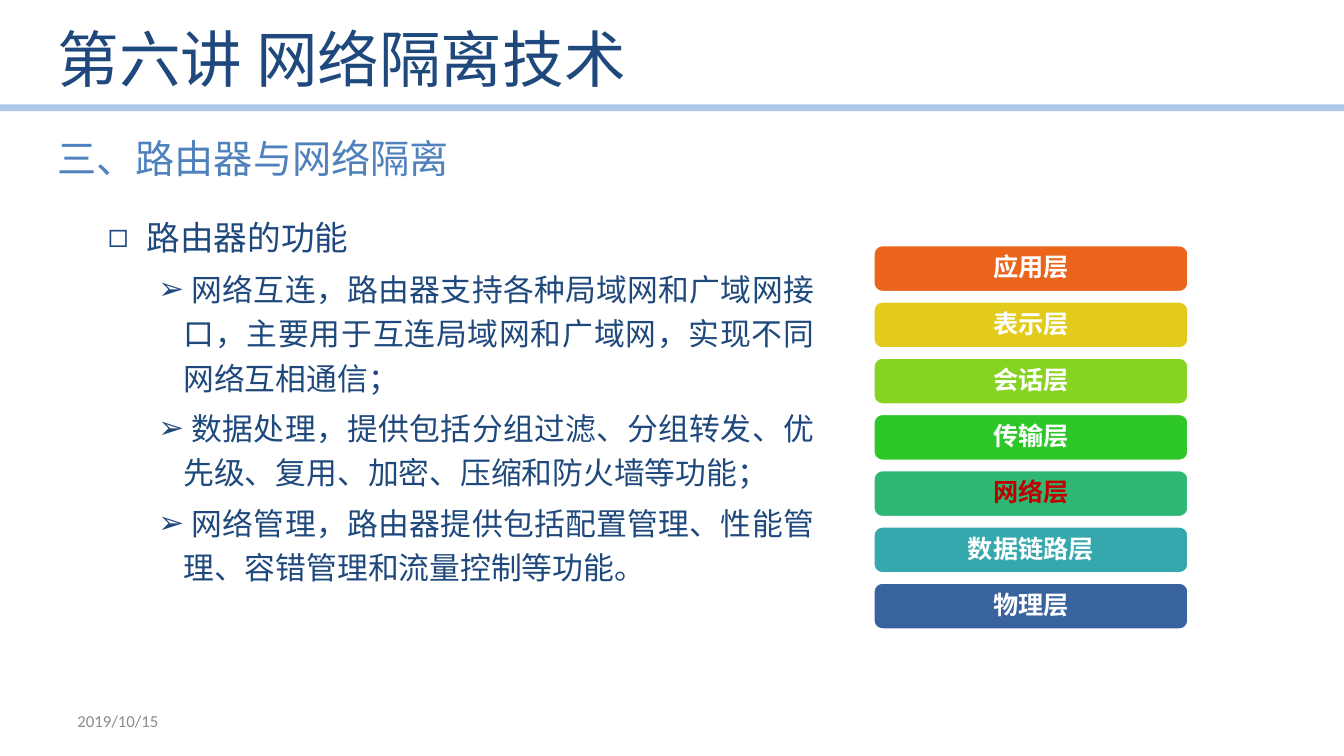
"""Build the slide on routers and network isolation with the seven network layers."""
from lxml import etree
from pptx import Presentation
from pptx.dml.color import RGBColor
from pptx.enum.shapes import MSO_CONNECTOR, MSO_SHAPE
from pptx.enum.text import MSO_ANCHOR, MSO_AUTO_SIZE, PP_ALIGN
from pptx.oxml.ns import qn
from pptx.util import Inches, Pt

STRAIGHT = MSO_CONNECTOR.STRAIGHT
ROUNDED = MSO_SHAPE.ROUNDED_RECTANGLE
MIDDLE, TOP = MSO_ANCHOR.MIDDLE, MSO_ANCHOR.TOP
LEFT, CENTER, JUSTIFY = PP_ALIGN.LEFT, PP_ALIGN.CENTER, PP_ALIGN.JUSTIFY
NO_FIT = MSO_AUTO_SIZE.NONE
CJK = "Noto Sans CJK SC"
COLORS = {"navy": "1F497D", "blue": "4F81BD", "rule": "8EB4E3",
          "white": "FFFFFF", "red": "C00000", "gray": "8C8C8C"}


def add_run(p, text, size, color, font=CJK, bold=False):
    r = p.add_run()
    r.text = text
    r.font.size = Pt(size)
    r.font.bold = bold
    r.font.color.rgb = RGBColor.from_string(COLORS[color])
    r.font.name = font
    etree.SubElement(r.font._element, qn("a:ea"), typeface=font)


def place(sp, left, top, width, height):
    sp.left, sp.top = Inches(left), Inches(top)
    sp.width, sp.height = Inches(width), Inches(height)


prs = Presentation()
prs.slide_width, prs.slide_height = Inches(13.33), Inches(7.5)
slide = prs.slides.add_slide(prs.slide_layouts[1])

rule = slide.shapes.add_connector(STRAIGHT, 0, Inches(1.07), Inches(13.33), Inches(1.07))
rule.line.width = Pt(4.75)
rule.line.color.rgb = RGBColor.from_string(COLORS["rule"])
rule_color = rule.line._ln.find(".//" + qn("a:srgbClr"))
etree.SubElement(rule_color, qn("a:alpha"), val="73000")
etree.SubElement(rule._element.spPr, qn("a:effectLst"))

title = slide.shapes.title
place(title, 0.47, 0.09, 11.02, 0.97)
tf = title.text_frame
tf.auto_size = NO_FIT
tf.vertical_anchor = MIDDLE
p = tf.paragraphs[0]
p.alignment = LEFT
add_run(p, "第六讲 网络隔离技术", 44, "navy")

body = slide.placeholders[1]
place(body, 0.47, 2.02, 7.71, 4.41)
tf = body.text_frame
tf.auto_size = NO_FIT
tf.vertical_anchor = TOP
bullet_styles = {1: ("◻", 24, 0.81, -0.31), 2: ("➢", 22, 1.25, -0.25)}
bullets = [
    (1, " 路由器的功能"),
    (2, " 网络互连，路由器支持各种局域网和广域网接口，主要用于互连局域网和广域网，实现不同网络互相通信；"),
    (2, " 数据处理，提供包括分组过滤、分组转发、优先级、复用、加密、压缩和防火墙等功能；"),
    (2, " 网络管理，路由器提供包括配置管理、性能管理、容错管理和流量控制等功能。"),
]
for i, (level, text) in enumerate(bullets):
    char, size, margin, indent = bullet_styles[level]
    p = tf.add_paragraph() if i else tf.paragraphs[0]
    p.level = level
    p.alignment = JUSTIFY
    p.line_spacing = 1.2
    pPr = p._p.get_or_add_pPr()
    pPr.set("marL", str(Inches(margin)))
    pPr.set("indent", str(Inches(indent)))
    etree.SubElement(pPr, qn("a:buChar"), char=char)
    add_run(p, text, size, "navy")

heading = slide.shapes.add_textbox(Inches(0.47), Inches(1.28), Inches(4.13), Inches(0.57))
add_run(heading.text_frame.paragraphs[0], "三、路由器与网络隔离", 28, "blue")

layers = [
    ("应用层", "EB641B", "white"),
    ("表示层", "E2CB1D", "white"),
    ("会话层", "87D322", "white"),
    ("传输层", "2EC729", "white"),
    ("网络层", "2EB873", "red"),
    ("数据链路层", "34A8AC", "white"),
    ("物理层", "39639E", "white"),
]
for i, (name, fill, color) in enumerate(layers):
    sp = slide.shapes.add_shape(ROUNDED, Inches(8.64), Inches(2.41 + i * 0.558),
                                Inches(3.17), Inches(0.51))
    sp.shadow.inherit = False
    sp.adjustments[0] = 0.22
    sp.fill.solid()
    sp.fill.fore_color.rgb = RGBColor.from_string(fill)
    sp.line.color.rgb = RGBColor.from_string(COLORS["white"])
    sp.line.width = Pt(5)
    tf = sp.text_frame
    tf.word_wrap = True
    tf.vertical_anchor = MIDDLE
    p = tf.paragraphs[0]
    p.alignment = CENTER
    p.line_spacing = 0.9
    add_run(p, name, 18, color, bold=True)

date = slide.shapes.add_textbox(Inches(0.67), Inches(6.95), Inches(3.11), Inches(0.4))
tf = date.text_frame
tf.word_wrap = True
tf.vertical_anchor = MIDDLE
add_run(tf.paragraphs[0], "2019/10/15", 12, "gray", font="Calibri")

prs.save("out.pptx")
